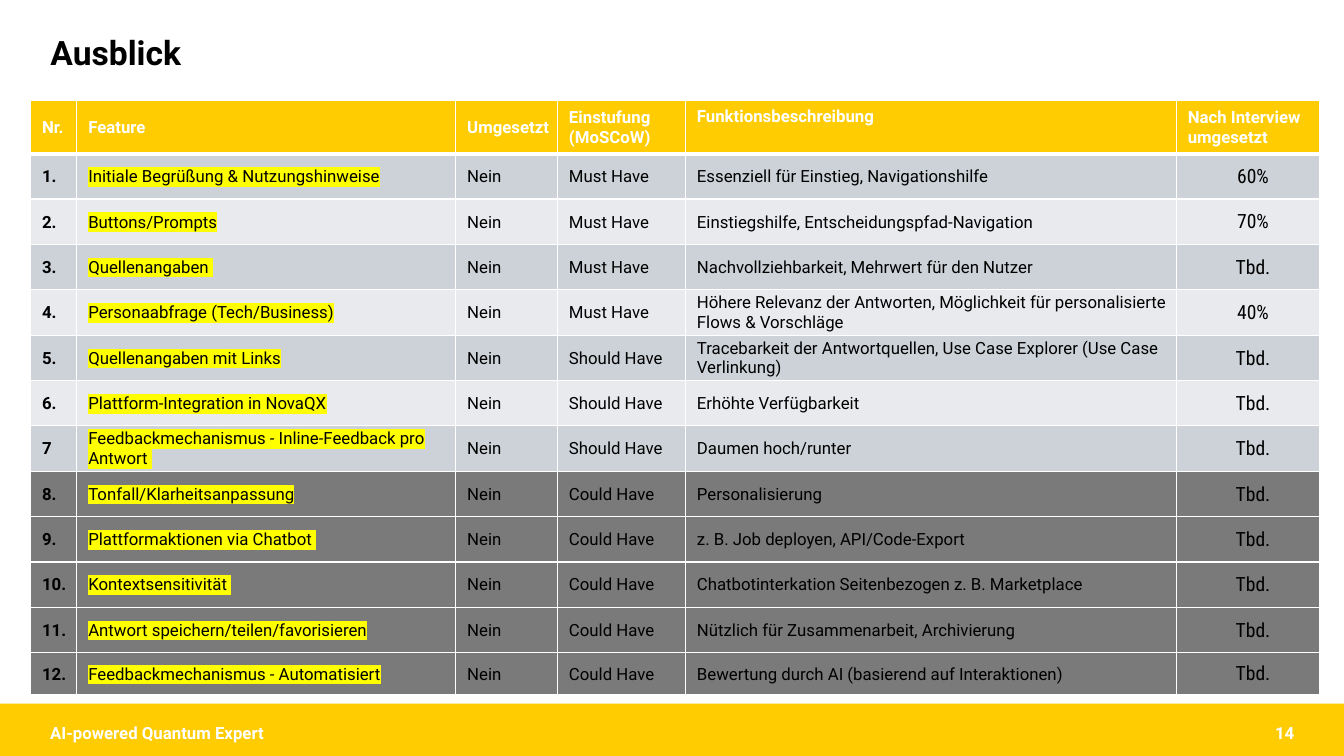
import pptx
import pptx.dml.color
import pptx.enum.shapes
import pptx.enum.text
import pptx.oxml
import pptx.oxml.ns
import pptx.util

Pt = pptx.util.Pt
ALIGN = pptx.enum.text.PP_ALIGN
ANCHOR = pptx.enum.text.MSO_ANCHOR

COLORS = {
    "gold": "FECC00",
    "white": "FFFFFF",
    "black": "000000",
    "blue": "CCD2D8",
    "pale": "E8EAED",
    "gray": "7B7A7A",
    "mark": "FFFF00",
}
FONT, SLIM = "Roboto", "Roboto Condensed"

HEADS = ["Nr.", "Feature", "Umgesetzt", "Einstufung (MoSCoW)",
         "Funktionsbeschreibung", "Nach Interview umgesetzt"]
# Number, feature, rank, purpose, share done after the interview
ITEMS = [
    ("1.", "Initiale Begrüßung & Nutzungshinweise", "Must",
     "Essenziell für Einstieg, Navigationshilfe", "60%"),
    ("2.", "Buttons/Prompts", "Must",
     "Einstiegshilfe, Entscheidungspfad-Navigation", "70%"),
    ("3.", "Quellenangaben ", "Must",
     "Nachvollziehbarkeit, Mehrwert für den Nutzer", "Tbd."),
    ("4.", "Personaabfrage (Tech/Business)", "Must",
     "Höhere Relevanz der Antworten, Möglichkeit für personalisierte "
     "Flows & Vorschläge", "40%"),
    ("5.", "Quellenangaben mit Links", "Should",
     "Tracebarkeit der Antwortquellen, Use Case Explorer "
     "(Use Case Verlinkung)", "Tbd."),
    ("6.", "Plattform-Integration in NovaQX", "Should",
     "Erhöhte Verfügbarkeit", "Tbd."),
    ("7", "Feedbackmechanismus - Inline-Feedback pro Antwort ", "Should",
     "Daumen hoch/runter", "Tbd."),
    ("8.", "Tonfall/Klarheitsanpassung", "Could",
     "Personalisierung", "Tbd."),
    ("9.", "Plattformaktionen via Chatbot ", "Could",
     "z. B. Job deployen, API/Code-Export", "Tbd."),
    ("10.", "Kontextsensitivität ", "Could",
     "Chatbotinterkation Seitenbezogen z. B. Marketplace", "Tbd."),
    ("11.", "Antwort speichern/teilen/favorisieren", "Could",
     "Nützlich für Zusammenarbeit, Archivierung", "Tbd."),
    ("12.", "Feedbackmechanismus - Automatisiert", "Could",
     "Bewertung durch AI (basierend auf Interaktionen)", "Tbd."),
]
WIDTHS = [33, 270.7, 72.7, 91.4, 350.6, 102.2]
HEIGHTS = [38.2] + [32.4] * 11 + [30.2]


def rgb(color):
    return pptx.dml.color.RGBColor.from_string(COLORS[color])


class Deck:
    def __init__(self, width, height):
        self.prs = pptx.Presentation()
        self.prs.slide_width = Pt(width)
        self.prs.slide_height = Pt(height)
        self.slide = self.prs.slides.add_slide(self.prs.slide_layouts[5])

    def style(self, frame, text, size=12, color="black", bold=False,
              font=FONT, align=ALIGN.LEFT, mark=None):
        """Fill a text frame with one paragraph; mark is a highlight colour."""
        frame.text = text
        par = frame.paragraphs[0]
        par.alignment = align
        run = par.runs[0]
        run.font.size = Pt(size)
        run.font.bold = bold
        run.font.name = font
        run.font.color.rgb = rgb(color)
        if mark:
            fill = run.font._element.find(pptx.oxml.ns.qn("a:solidFill"))
            fill.addnext(pptx.oxml.parse_xml(
                f'<a:highlight {pptx.oxml.ns.nsdecls("a")}>'
                f'<a:srgbClr val="{COLORS[mark]}"/></a:highlight>'))

    def title(self, text, *box):
        shape = self.slide.shapes.title
        shape.left, shape.top, shape.width, shape.height = map(Pt, box)
        self.style(shape.text_frame, text, 24, bold=True)
        shape.text_frame.vertical_anchor = ANCHOR.MIDDLE
        shape.text_frame.paragraphs[0].line_spacing = 0.9

    def bar(self, color, *box):
        shape = self.slide.shapes.add_shape(
            pptx.enum.shapes.MSO_SHAPE.RECTANGLE, *map(Pt, box))
        shape.shadow.inherit = False
        shape.fill.solid()
        shape.fill.fore_color.rgb = rgb(color)
        shape.line.fill.background()

    def label(self, text, *box, align=ALIGN.LEFT):
        frame = self.slide.shapes.add_textbox(*map(Pt, box)).text_frame
        frame.word_wrap = True
        frame.vertical_anchor = ANCHOR.MIDDLE
        frame.margin_top = frame.margin_bottom = 0
        self.style(frame, text, color="white", bold=True, align=align)

    def border(self, cell, **sides):
        """Draw white cell edges; sides gives points for L, R, T and B."""
        props = cell._tc.get_or_add_tcPr()
        for side, width in sides.items():
            props.append(pptx.oxml.parse_xml(
                f'<a:ln{side} {pptx.oxml.ns.nsdecls("a")} w="{Pt(width)}">'
                f'<a:solidFill><a:srgbClr val="{COLORS["white"]}"/>'
                f'</a:solidFill></a:ln{side}>'))

    def cell(self, cell, text, fill, top=1, base=1, **look):
        cell.margin_left = Pt(8.3)
        cell.margin_top = cell.margin_right = Pt(0.7)
        cell.margin_bottom = 0
        cell.vertical_anchor = ANCHOR.MIDDLE
        self.border(cell, L=1, R=1, T=top, B=base)
        cell.fill.solid()
        cell.fill.fore_color.rgb = rgb(fill)
        self.style(cell.text_frame, text, **look)

    def table(self, left, top):
        table = self.slide.shapes.add_table(
            len(HEIGHTS), len(WIDTHS), Pt(left), Pt(top),
            Pt(sum(WIDTHS)), Pt(sum(HEIGHTS))).table
        for col, width in zip(table.columns, WIDTHS):
            col.width = Pt(width)
        for row, height in zip(table.rows, HEIGHTS):
            row.height = Pt(height)

        for col, head in enumerate(HEADS):
            self.cell(table.cell(0, col), head, "gold", base=3,
                      color="white", bold=True)
        purpose = table.cell(0, HEADS.index("Funktionsbeschreibung"))
        purpose.vertical_anchor = ANCHOR.TOP
        purpose.margin_top = Pt(5)

        looks = [{"bold": True}, {"mark": "mark"}, {}, {}, {},
                 {"size": 14, "font": SLIM, "align": ALIGN.CENTER}]
        for row, (num, name, rank, goal, share) in enumerate(ITEMS, 1):
            fill = "gray" if rank == "Could" else ("pale", "blue")[row % 2]
            texts = [num, name, "Nein", f"{rank} Have", goal, share]
            for col, (text, look) in enumerate(zip(texts, looks)):
                self.cell(table.cell(row, col), text, fill,
                          top=3 if row == 1 else 1, **look)


def main():
    deck = Deck(960, 540)
    deck.bar("gold", 0, 502.6, 960, 37.4)
    deck.title("Ausblick", 28.8, 22.3, 677.5, 33.8)
    deck.label("AI-powered Quantum Expert", 28.8, 515.5, 324, 15.1)
    deck.label("14", 715.7, 515.5, 216, 15.1, align=ALIGN.RIGHT)
    deck.table(21.8, 71.6)
    deck.prs.save("out.pptx")


if __name__ == "__main__":
    main()
